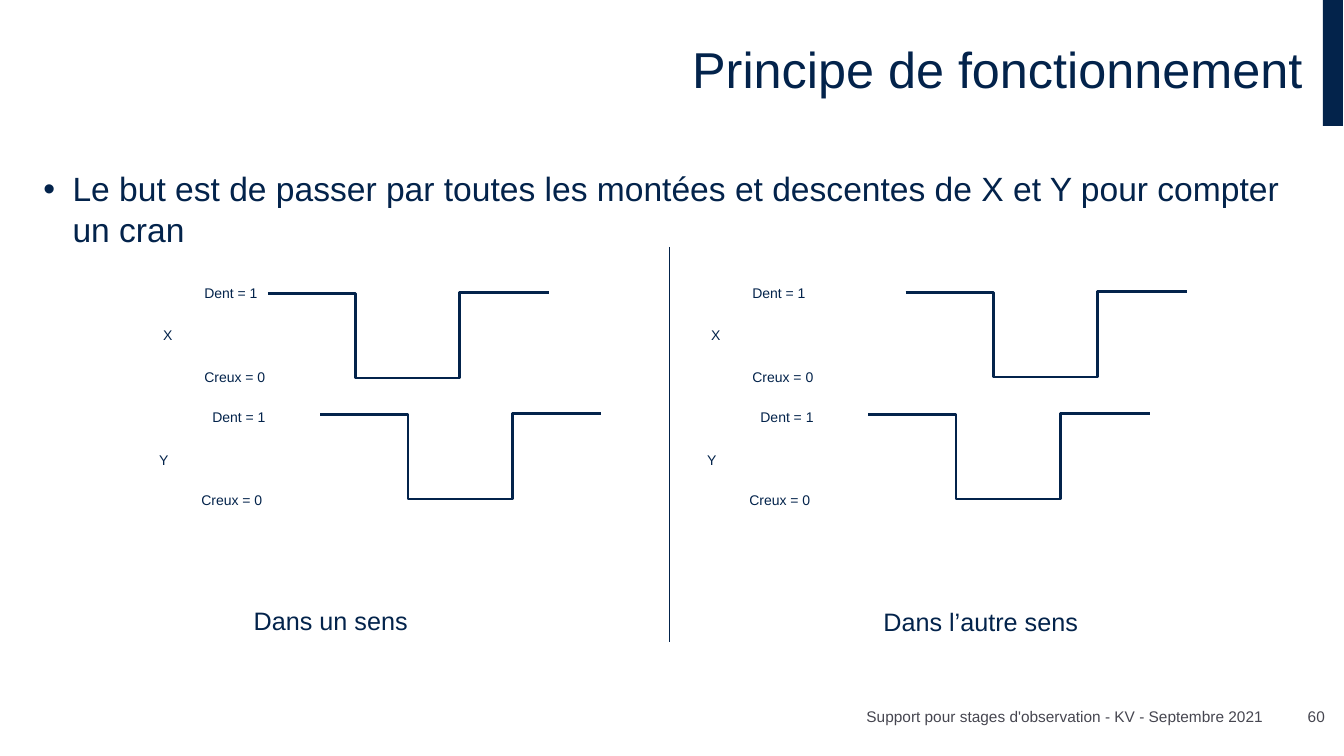
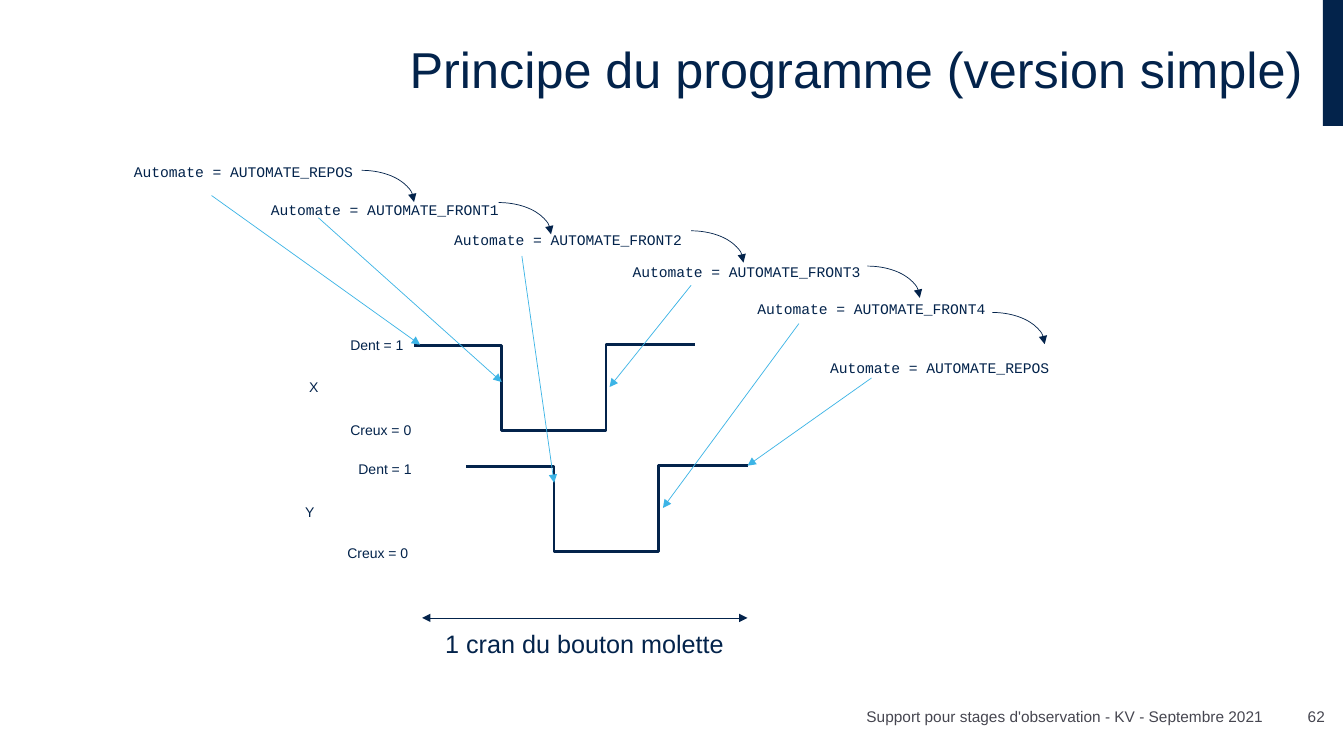
from dataclasses import dataclass
from typing import Optional

from lxml import etree
from pptx import Presentation
from pptx.dml.color import RGBColor
from pptx.enum import shapes, text
from pptx.oxml.ns import qn
from pptx.util import Inches, Pt

NAVY = RGBColor(0x03, 0x23, 0x4B)
GREY = RGBColor(0x46, 0x46, 0x50)
SKY = RGBColor(0x3C, 0xB4, 0xE6)
SANS, MONO = "Arial", "Courier New"
FOOTER = "Support pour stages d'observation - KV - Septembre 2021"
TITLE_ONLY, TITLE_AND_CONTENT = 5, 1
THIN, THICK = 0.5, 2
STRAIGHT, ELBOW = shapes.MSO_CONNECTOR.STRAIGHT, shapes.MSO_CONNECTOR.ELBOW

Point = tuple[float, float]


@dataclass(frozen=True)
class State:
    """A state of the automaton, the edge it points to and the arc to the next."""
    name: str
    place: Point
    arrow_start: Point
    arrow_end: Point
    arc: Optional[Point] = None


@dataclass(frozen=True)
class Signal:
    """A signal's labels, placed relative to the diagram's corner."""
    name: str
    name_at: Point
    high_at: Point
    low_at: Point


SIGNALS = (
    Signal("X", (-0.41, 0.42), (0, 0), (0, 0.84)),
    Signal("Y", (-0.45, 1.66), (0.08, 1.23), (-0.03, 2.06)),
)
STATES = (
    State("REPOS", (1.23, 1.57), (2.1, 1.94), (4.17, 3.42), (3.07, 1.69)),
    State("FRONT1", (2.59, 1.94), (3.16, 2.16), (4.98, 3.79), (4.43, 2.01)),
    State("FRONT2", (4.41, 2.24), (5.18, 2.54), (5.5, 4.79), (6.34, 2.29)),
    State("FRONT3", (6.18, 2.56), (6.86, 2.83), (6.05, 3.84), (8.09, 2.64)),
    State("FRONT4", (7.42, 2.93), (7.93, 3.21), (6.58, 5.04), (9.33, 3.1)),
    State("REPOS", (8.14, 3.51), (8.65, 3.75), (7.42, 4.62)),
)


def style_font(paragraph, size: float, color: RGBColor = NAVY, face: str = SANS) -> None:
    for run in paragraph.runs:
        run.font.size, run.font.name = Pt(size), face
        run.font.color.rgb = color


def place(shape, left: float, top: float, width: float, height: float) -> None:
    shape.left, shape.top = Inches(left), Inches(top)
    shape.width, shape.height = Inches(width), Inches(height)


def style_line(shape, color: RGBColor, width: float, arrows: tuple[str, ...] = ()) -> None:
    """Arrows holds "headEnd" and/or "tailEnd", in that order."""
    shape.line.color.rgb = color
    shape.line.width = Pt(width)
    outline = shape.element.spPr.find(qn("a:ln"))
    for arrow in arrows:
        etree.SubElement(outline, qn(f"a:{arrow}"), type="triangle")


def add_line(slide, start: Point, end: Point, color: RGBColor = NAVY, width: float = THIN,
             arrows: tuple[str, ...] = (), kind=STRAIGHT) -> None:
    line = slide.shapes.add_connector(kind, *map(Inches, (*start, *end)))
    style_line(line, color, width, arrows)
    etree.SubElement(line.element.spPr, qn("a:effectLst"))


def add_label(slide, words: str, at: Point, width: float, height: float = 0.27,
              size: float = 10, face: str = SANS) -> None:
    label = slide.shapes.add_textbox(*map(Inches, (*at, width, height)))
    frame = label.text_frame
    frame.text = words
    frame.word_wrap = False
    frame.auto_size = text.MSO_AUTO_SIZE.SHAPE_TO_FIT_TEXT
    style_font(frame.paragraphs[0], size, face=face)


def add_footer(slide, words: str, left: float, width: float, side_inset: float) -> None:
    footer = slide.shapes.add_textbox(*map(Inches, (left, 6.93, width, 0.32)))
    frame = footer.text_frame
    frame.text = words
    frame.word_wrap = True
    frame.vertical_anchor = text.MSO_ANCHOR.BOTTOM
    frame.margin_left = frame.margin_right = Inches(side_inset)
    frame.paragraphs[0].alignment = text.PP_ALIGN.RIGHT
    style_font(frame.paragraphs[0], 11, GREY)


def new_slide(prs, layout: int, heading: str, number: int):
    """Slide with the shared corner band, title, footer and page number."""
    slide = prs.slides.add_slide(prs.slide_layouts[layout])
    band = slide.shapes.add_shape(shapes.MSO_SHAPE.RECTANGLE,
                                  *map(Inches, (13.13, 0, 0.2, 1.25)))
    band.shadow.inherit = False
    band.fill.solid()
    band.fill.fore_color.rgb = NAVY
    band.line.fill.background()

    title = slide.shapes.title
    place(title, 0.33, 0, 12.7, 1.43)
    frame = title.text_frame
    frame.text = heading
    frame.auto_size = text.MSO_AUTO_SIZE.NONE
    frame.vertical_anchor = text.MSO_ANCHOR.MIDDLE
    paragraph = frame.paragraphs[0]
    paragraph.alignment = text.PP_ALIGN.RIGHT
    paragraph.line_spacing = 0.9
    style_font(paragraph, 36)

    add_footer(slide, FOOTER, 6.64, 6, 0.1)
    add_footer(slide, str(number), 12.7, 0.45, 0)
    return slide


def add_wave(slide, x: float, y: float) -> None:
    """A falling edge followed by a rising edge."""
    low = y + 0.84
    add_line(slide, (x, y), (x + 1.74, low), width=THICK, kind=ELBOW)
    add_line(slide, (x + 1.02, low), (x + 2.79, y - 0.01), width=THICK, kind=ELBOW)


def add_diagram(slide, x: float, y: float, x_wave: Point = (0.73, 0.14)) -> None:
    """Signals X and Y; x_wave is the place of X's wave in the diagram."""
    for signal, (dx, dy) in zip(SIGNALS, (x_wave, (1.25, 1.34))):
        add_wave(slide, x + dx, y + dy)
        for words, (left, top), width in (
            ("Dent = 1", signal.high_at, 0.73),
            ("Creux = 0", signal.low_at, 0.81),
            (signal.name, signal.name_at, 0.29),
        ):
            add_label(slide, words, (x + left, y + top), width)


def add_arc(slide, at: Point) -> None:
    arc = slide.shapes.add_shape(shapes.MSO_SHAPE.ARC, *map(Inches, (*at, 1.04, 0.63)))
    arc.fill.background()
    style_line(arc, NAVY, THIN, ("tailEnd",))
    arc.shadow.inherit = False


def build_operation(prs) -> None:
    slide = new_slide(prs, TITLE_AND_CONTENT, "Principe de fonctionnement", 60)

    # Goal
    goal = slide.placeholders[1]
    place(goal, 0.33, 1.62, 12.68, 5.04)
    frame = goal.text_frame
    frame.text = ("Le but est de passer par toutes les montées et descentes "
                  "de X et Y pour compter un cran")
    frame.auto_size = text.MSO_AUTO_SIZE.NONE
    paragraph = frame.paragraphs[0]
    paragraph.space_before = Pt(0)
    properties = paragraph._p.get_or_add_pPr()
    properties.set("marL", str(Inches(0.29)))
    properties.set("indent", str(Inches(-0.29)))
    etree.SubElement(properties, qn("a:buFont"), typeface=SANS)
    etree.SubElement(properties, qn("a:buChar"), char="•")
    style_font(paragraph, 24)

    # Both directions of rotation
    add_diagram(slide, 1.93, 2.77)
    add_diagram(slide, 7.37, 2.77, x_wave=(1.62, 0.13))
    add_line(slide, (6.64, 2.45), (6.64, 6.37))
    add_label(slide, "Dans un sens", (2.42, 5.96), 1.74, 0.4, 18)
    add_label(slide, "Dans l’autre sens", (8.67, 5.97), 2.15, 0.4, 18)


def build_program(prs) -> None:
    slide = new_slide(prs, TITLE_ONLY, "Principe du programme (version simple)", 62)
    add_diagram(slide, 3.38, 3.29)

    # States of the automaton
    for state in STATES:
        width = 2.39 if state.name == "REPOS" else 2.48
        add_label(slide, f"Automate = AUTOMATE_{state.name}", state.place,
                  width, 0.28, 10.5, MONO)
        add_line(slide, state.arrow_start, state.arrow_end, SKY, arrows=("tailEnd",))
        if state.arc:
            add_arc(slide, state.arc)

    # Extent of one notch
    add_line(slide, (4.19, 6.13), (7.42, 6.13), arrows=("headEnd", "tailEnd"))
    add_label(slide, "1 cran du bouton molette", (4.32, 6.18), 3.06, 0.4, 18)


def main() -> None:
    prs = Presentation()
    prs.slide_width, prs.slide_height = Inches(13.34), Inches(7.5)
    build_operation(prs)
    build_program(prs)
    prs.save("out.pptx")


if __name__ == "__main__":
    main()
